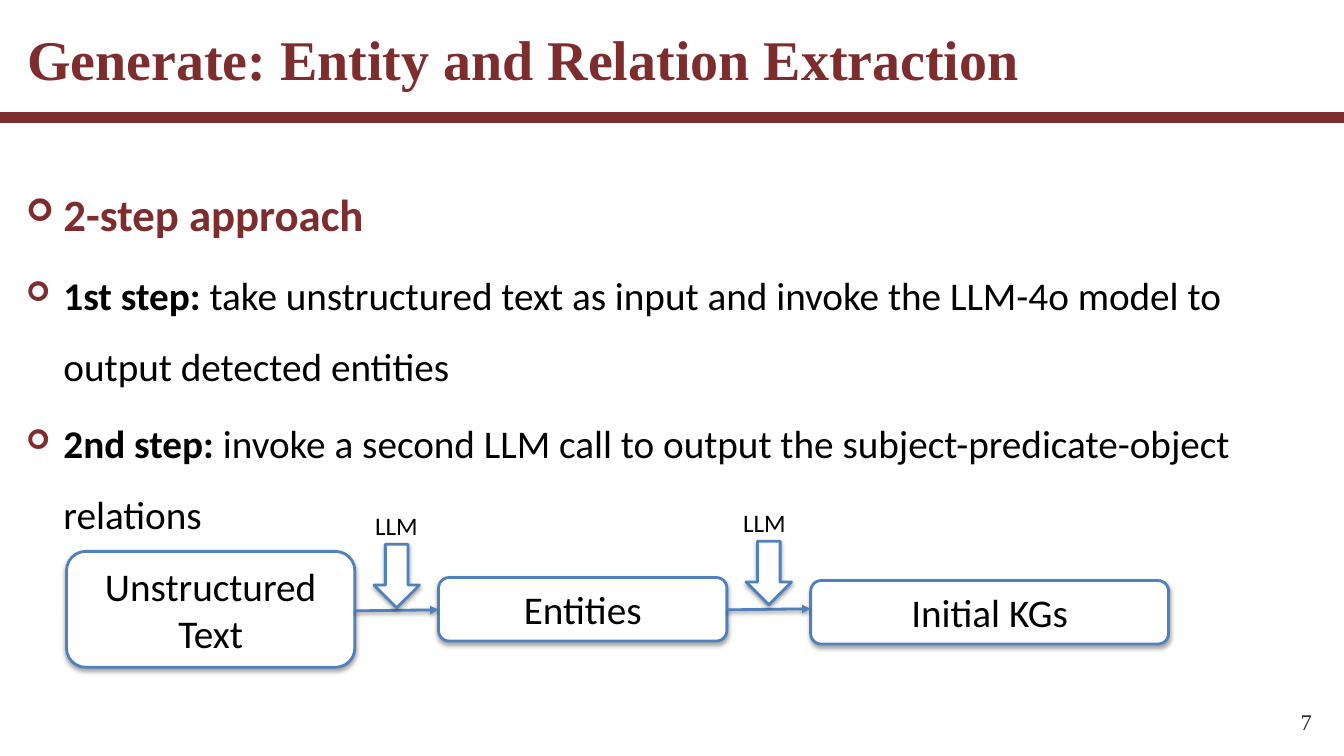
from lxml.etree import SubElement
from pptx import Presentation
from pptx.dml.color import RGBColor
from pptx.enum.shapes import MSO_CONNECTOR, MSO_SHAPE
from pptx.enum.text import MSO_ANCHOR, PP_ALIGN
from pptx.oxml import parse_xml
from pptx.oxml.ns import nsdecls, qn
from pptx.util import Inches, Pt

MAROON = RGBColor(0x7D, 0x2D, 0x2D)
BLUE = RGBColor(0x4F, 0x81, 0xBD)
WHITE = RGBColor(0xFF, 0xFF, 0xFF)
BLACK = RGBColor(0, 0, 0)
GRAY = RGBColor(0x26, 0x26, 0x26)
SERIF = "Times New Roman"
SANS = "Calibri"

STEPS = [
    ("2-step approach", "", 32, MAROON),
    ("1st step: ", "take unstructured text as input and invoke the LLM-4o model to "
     "output detected entities", 28, BLACK),
    ("2nd step: ", "invoke a second LLM call to output the subject-predicate-object "
     "relations", 28, BLACK),
]
BOXES = [
    ("Unstructured Text", 0.66, 5.47, 2.86, 1.15),
    ("Entities", 4.35, 5.73, 2.86, 0.63),
    ("Initial KGs", 8.04, 5.76, 3.55, 0.63),
]
LINKS = [(3.52, 6.06), (7.21, 6.05)]
CALLS = [(3.71, 5.40, 3.67, 5.01), (7.40, 5.37, 7.32, 4.98)]


def style(r, size, color, font=SANS, bold=False):
    """Format one run."""
    r.font.name, r.font.size, r.font.bold = font, Pt(size), bold
    r.font.color.rgb = color


def set_frame(tf, anchor=MSO_ANCHOR.TOP, wrap=True):
    """Set the margins, anchor and wrapping of a text frame."""
    tf.margin_left = tf.margin_right = tf.margin_top = tf.margin_bottom = Inches(0.05)
    tf.vertical_anchor, tf.word_wrap = anchor, wrap


def add_shadow(shape, alpha, distance):
    """Give a shape a soft shadow that falls straight down."""
    shape._element.spPr.append(parse_xml(
        f'<a:effectLst {nsdecls("a")}><a:outerShdw blurRad="{Pt(3)}" dist="{Pt(distance)}" '
        f'dir="5400000" rotWithShape="0"><a:srgbClr val="000000">'
        f'<a:alpha val="{alpha * 1000}"/></a:srgbClr></a:outerShdw></a:effectLst>'))


def add_text(s, text, x, y, w, h, size, color, font=SANS, bold=False,
             anchor=MSO_ANCHOR.TOP, align=PP_ALIGN.LEFT, wrap=False):
    """Add a text box with one line."""
    tf = s.shapes.add_textbox(Inches(x), Inches(y), Inches(w), Inches(h)).text_frame
    set_frame(tf, anchor, wrap)
    tf.text = text
    p = tf.paragraphs[0]
    p.alignment = align
    style(p.runs[0], size, color, font, bold)


def add_bullet(p):
    """Give a paragraph a hanging maroon arrow bullet."""
    pPr = p._p.get_or_add_pPr()
    pPr.set("marL", str(Inches(0.37)))
    pPr.set("indent", str(-Inches(0.37)))
    SubElement(SubElement(pPr, qn("a:buClr")), qn("a:srgbClr")).set("val", str(MAROON))
    SubElement(pPr, qn("a:buSzPct")).set("val", "70000")
    SubElement(pPr, qn("a:buFont")).set("typeface", "Wingdings")
    SubElement(pPr, qn("a:buChar")).set("char", "➢")


def add_steps(s):
    """Add the bulleted list of steps."""
    tf = s.shapes.add_textbox(Inches(0.21), Inches(1.54), Inches(12.33), Inches(4.82)).text_frame
    set_frame(tf)
    for i, (lead, rest, size, color) in enumerate(STEPS):
        p = tf.add_paragraph() if i else tf.paragraphs[0]
        p.line_spacing, p.space_before = 1.5, Pt(5)
        add_bullet(p)
        for text, bold in ((lead, True), (rest, False)):
            if text:
                r = p.add_run()
                r.text = text
                style(r, size, color, bold=bold)


def add_block(s, kind, x, y, w, h, text=""):
    """Add a white shape with a blue outline and optional text."""
    sp = s.shapes.add_shape(kind, Inches(x), Inches(y), Inches(w), Inches(h))
    sp.fill.solid()
    sp.fill.fore_color.rgb = WHITE
    sp.line.color.rgb, sp.line.width = BLUE, Pt(2)
    add_shadow(sp, 35, 1.8)
    if text:
        tf = sp.text_frame
        set_frame(tf, MSO_ANCHOR.MIDDLE)
        tf.text = text
        p = tf.paragraphs[0]
        p.alignment = PP_ALIGN.CENTER
        style(p.runs[0], 28, BLACK)


def add_line(s, x1, y1, x2, y2, color, width):
    """Add a straight line."""
    line = s.shapes.add_connector(MSO_CONNECTOR.STRAIGHT, Inches(x1), Inches(y1),
                                  Inches(x2), Inches(y2))
    line.line.color.rgb, line.line.width = color, Pt(width)
    return line


def add_link(s, x, y):
    """Add an arrow from one box to the next."""
    link = add_line(s, x, y, x + 0.83, y - 0.01, BLUE, 2)
    SubElement(link.line._get_or_add_ln(), qn("a:tailEnd")).set("type", "triangle")
    add_shadow(link, 38, 1.6)


def main():
    """Build the slide and save it."""
    prs = Presentation()
    prs.slide_width, prs.slide_height = Inches(13.33), Inches(7.5)
    s = prs.slides.add_slide(prs.slide_layouts[6])
    rule = add_line(s, 0, 1.17, 13.33, 1.17, MAROON, 8)
    SubElement(rule._element.spPr, qn("a:effectLst"))
    add_text(s, "7", 12.85, 6.97, 0.21, 0.37, 16, GRAY, SERIF,
             anchor=MSO_ANCHOR.MIDDLE, align=PP_ALIGN.RIGHT)
    add_steps(s)
    add_text(s, "Generate: Entity and Relation Extraction", 0.22, 0.15, 12.05, 0.86, 40,
             MAROON, SERIF, bold=True, anchor=MSO_ANCHOR.MIDDLE, wrap=True)
    for text, *place in BOXES:
        add_block(s, MSO_SHAPE.ROUNDED_RECTANGLE, *place, text)
    for x, y in LINKS:
        add_link(s, x, y)
    for x, y, label_x, label_y in CALLS:
        add_block(s, MSO_SHAPE.DOWN_ARROW, x, y, 0.45, 0.63)
        add_text(s, "LLM", label_x, label_y, 0.53, 0.4, 18, BLACK)
    prs.save("out.pptx")


if __name__ == "__main__":
    main()
